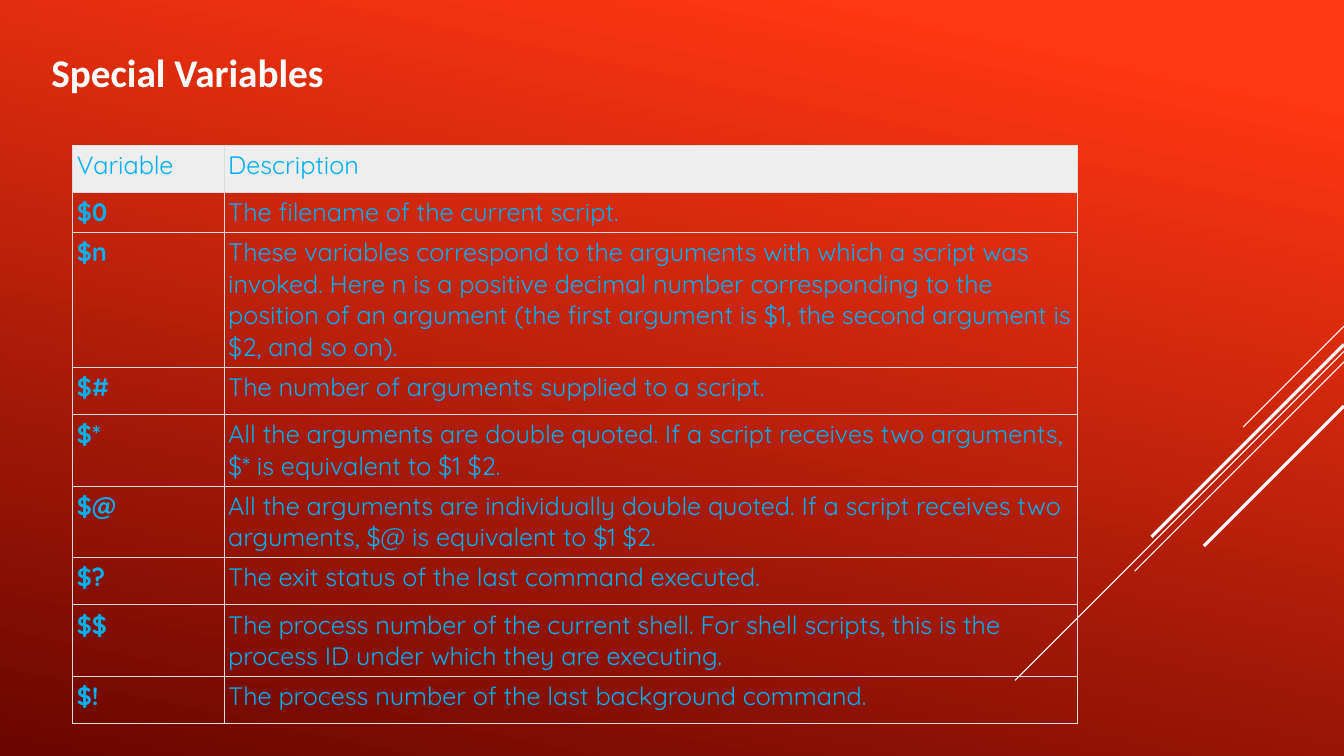
"""Build the Special Variables slide: a table of shell variables on a red gradient."""
from lxml.etree import SubElement
from pptx import Presentation
from pptx.dml.color import RGBColor
from pptx.enum.shapes import MSO_CONNECTOR
from pptx.enum.text import MSO_ANCHOR, PP_ALIGN
from pptx.oxml import parse_xml
from pptx.oxml.ns import nsdecls, qn
from pptx.util import Pt


def rgb(color):
    return RGBColor.from_string(color)


def style(p, font, size, color, bold):
    for r in p.runs:
        r.font.name = font
        r.font.size = Pt(size)
        r.font.color.rgb = rgb(color)
        r.font.bold = bold


prs = Presentation()
prs.slide_width, prs.slide_height = Pt(960), Pt(540)
s = prs.slides.add_slide(prs.slide_layouts[5])

fill = s.background.fill
fill.gradient()
fill.gradient_angle = 258
for stop, (position, color) in zip(fill.gradient_stops, [(0.1, "FF3712"), (1, "6A0600")]):
    stop.position = position
    stop.color.rgb = rgb(color)

diagonals = [(233, 72, 0.75), (251, 235, 0.75), (258.5, 149.5, 0.75),
             (246, 137.5, 2.25), (290, 100, 2.25)]
for y, run, width in diagonals:
    line = s.shapes.add_connector(MSO_CONNECTOR.STRAIGHT, Pt(960), Pt(y), Pt(960 - run), Pt(y + run))
    line.line.color.rgb = rgb("FFFFFF")
    line.line.width = Pt(width)
    SubElement(line._element.spPr, qn("a:effectLst"))

title = s.shapes.title
title.left, title.top, title.width, title.height = Pt(29.5), Pt(31), Pt(831), Pt(44)
tf = title.text_frame
tf.text = "Special Variables"
tf.vertical_anchor = MSO_ANCHOR.TOP
tf.paragraphs[0].alignment = PP_ALIGN.LEFT
style(tf.paragraphs[0], "Calibri", 28, "FFFFFF", True)

rows = [
    ("Variable", "Description", 33.8),
    ("$0", "The filename of the current script.", 28.5),
    ("$n", "These variables correspond to the arguments with which a script was invoked. "
           "Here n is a positive decimal number corresponding to the position of an argument "
           "(the first argument is $1, the second argument is $2, and so on).", 95.5),
    ("$#", "The number of arguments supplied to a script.", 33.8),
    ("$*", "All the arguments are double quoted. If a script receives two arguments, "
           "$* is equivalent to $1 $2.", 50.7),
    ("$@", "All the arguments are individually double quoted. If a script receives two "
           "arguments, $@ is equivalent to $1 $2.", 50.7),
    ("$?", "The exit status of the last command executed.", 33.8),
    ("$$", "The process number of the current shell. For shell scripts, this is the "
           "process ID under which they are executing.", 50.7),
    ("$!", "The process number of the last background command.", 33.8),
]
height = sum(row[2] for row in rows)
table = s.shapes.add_table(len(rows), 2, Pt(52), Pt(103.7), Pt(717.5), Pt(height)).table
table.horz_banding = False
table.columns[0].width, table.columns[1].width = Pt(108), Pt(609.5)

for i, (variable, description, row_height) in enumerate(rows):
    table.rows[i].height = Pt(row_height)
    for j, text in enumerate((variable, description)):
        cell = table.cell(i, j)
        cell.margin_left = cell.margin_right = cell.margin_top = cell.margin_bottom = Pt(3)
        cell.text_frame.text = text
        style(cell.text_frame.paragraphs[0], "Quicksand", 18, "00B0F0", i > 0 and j == 0)
        tcPr = cell._tc.get_or_add_tcPr()
        for side in ("lnL", "lnR", "lnT", "lnB"):
            tcPr.append(parse_xml(
                f'<a:{side} {nsdecls("a")} w="9525"><a:solidFill>'
                f'<a:srgbClr val="DDDDDD"/></a:solidFill></a:{side}>'))
        if i == 0:
            cell.fill.solid()
            cell.fill.fore_color.rgb = rgb("EEEEEE")
        else:
            cell.fill.background()

prs.save("out.pptx")
